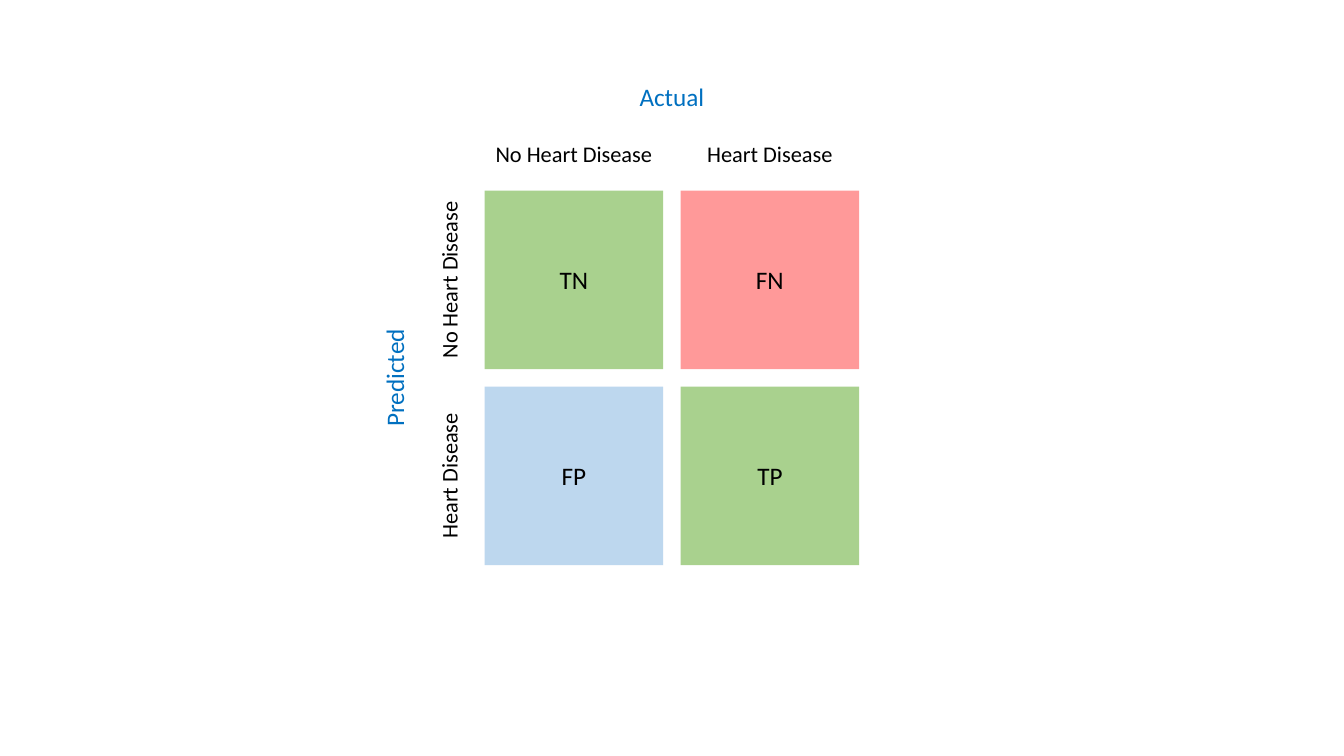
"""Build a confusion matrix slide for heart disease predictions."""
import pptx
import pptx.dml.color
import pptx.enum.shapes
import pptx.enum.text
import pptx.util

Pt = pptx.util.Pt
RGBColor = pptx.dml.color.RGBColor

GREEN = RGBColor(0xA9, 0xD1, 0x8E)
RED = RGBColor(0xFF, 0x99, 0x99)
PALE_BLUE = RGBColor(0xBD, 0xD7, 0xEE)
BLUE = RGBColor(0x00, 0x70, 0xC0)
BLACK = RGBColor(0, 0, 0)

CLASSES = ["No Heart Disease", "Heart Disease"]
OUTCOMES = [
    [("TN", GREEN), ("FN", RED)],
    [("FP", PALE_BLUE), ("TP", GREEN)],
]
ACTUAL, PREDICTED = "Actual", "Predicted"

SLIDE_WIDTH, SLIDE_HEIGHT = 960, 540
GRID_LEFT, GRID_TOP = 346.2, 136.2
CELL, STEP = 127.5, 140
ACTUAL_Y, COLUMN_LABEL_Y = 69.2, 109.9
PREDICTED_X, ROW_LABEL_X = 281.6, 320.8
AXIS_HEIGHT, LABEL_HEIGHT = 29.1, 26.7


def add_text(slide, text, center_x, center_y, width, height, *,
             size=18, color=BLACK, fill=None, rotation=0):
    """Add centred text around a point, in a filled square or a plain box."""
    box = (Pt(center_x - width / 2), Pt(center_y - height / 2), Pt(width), Pt(height))
    if fill is None:
        holder = slide.shapes.add_textbox(*box)
    else:
        holder = slide.shapes.add_shape(pptx.enum.shapes.MSO_SHAPE.RECTANGLE, *box)
        holder.shadow.inherit = False
        holder.fill.solid()
        holder.fill.fore_color.rgb = fill
        holder.line.fill.background()
    holder.rotation = rotation
    frame = holder.text_frame
    frame.word_wrap = True
    if fill is None:
        frame.auto_size = pptx.enum.text.MSO_AUTO_SIZE.SHAPE_TO_FIT_TEXT
    else:
        frame.vertical_anchor = pptx.enum.text.MSO_ANCHOR.MIDDLE
    paragraph = frame.paragraphs[0]
    paragraph.alignment = pptx.enum.text.PP_ALIGN.CENTER
    run = paragraph.add_run()
    run.text = text
    run.font.name = "Calibri"
    run.font.size = Pt(size)
    run.font.color.rgb = color


def main():
    """Lay out the outcome grid with its axis titles and class labels."""
    deck = pptx.Presentation()
    deck.slide_width, deck.slide_height = Pt(SLIDE_WIDTH), Pt(SLIDE_HEIGHT)
    slide = deck.slides.add_slide(deck.slide_layouts.get_by_name("Blank"))

    column_centers = [GRID_LEFT + CELL / 2 + STEP * i for i in range(len(CLASSES))]
    row_centers = [GRID_TOP + CELL / 2 + STEP * i for i in range(len(CLASSES))]

    for y, outcomes in zip(row_centers, OUTCOMES):
        for x, (outcome, fill) in zip(column_centers, outcomes):
            add_text(slide, outcome, x, y, CELL, CELL, fill=fill)

    middle_x = sum(column_centers) / len(column_centers)
    middle_y = sum(row_centers) / len(row_centers)
    add_text(slide, ACTUAL, middle_x, ACTUAL_Y, 64, AXIS_HEIGHT, color=BLUE)
    add_text(slide, PREDICTED, PREDICTED_X, middle_y, 89.3, AXIS_HEIGHT,
             color=BLUE, rotation=270)

    for label, x in zip(CLASSES, column_centers):
        add_text(slide, label, x, COLUMN_LABEL_Y, CELL, LABEL_HEIGHT, size=16)
    for label, y in zip(CLASSES, row_centers):
        add_text(slide, label, ROW_LABEL_X, y, CELL, LABEL_HEIGHT, size=16, rotation=270)

    deck.save("out.pptx")


if __name__ == "__main__":
    main()
